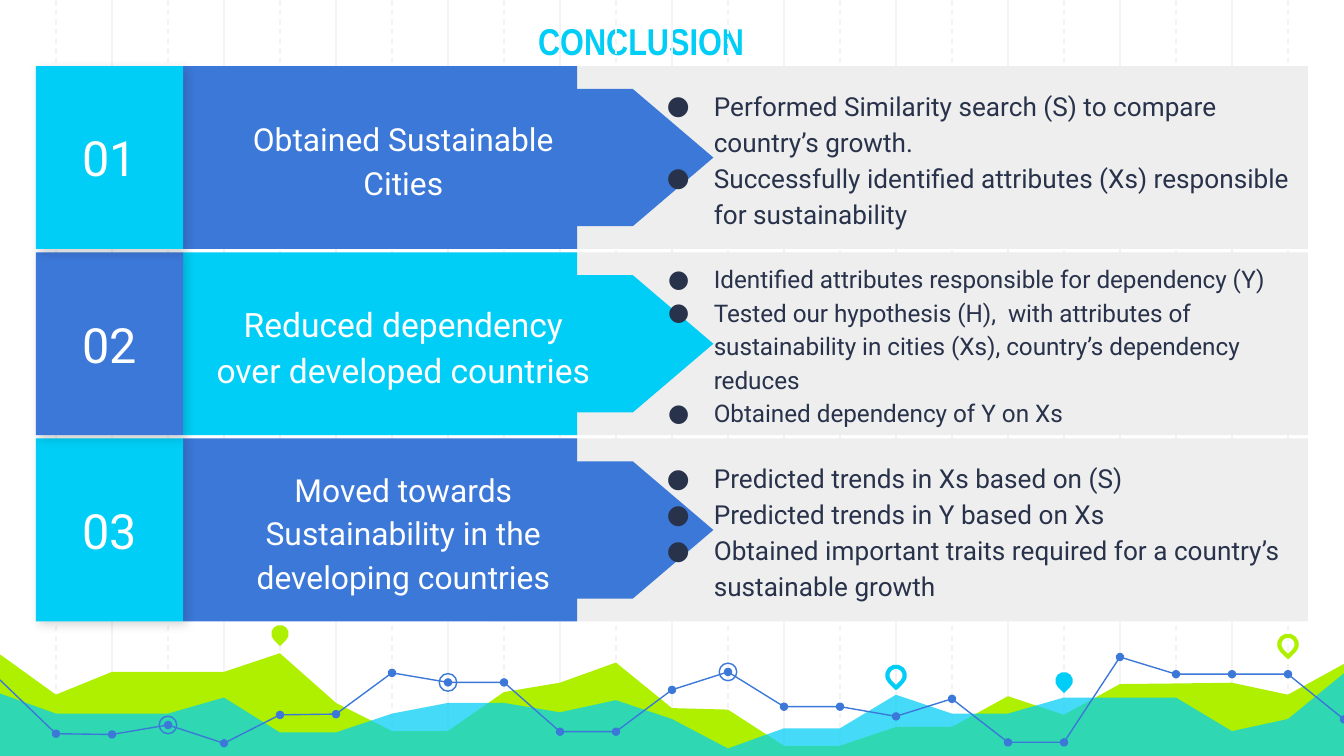
from dataclasses import dataclass

from lxml.etree import SubElement
from pptx import Presentation
from pptx.dml.color import RGBColor
from pptx.enum.dml import MSO_LINE
from pptx.enum.shapes import MSO_CONNECTOR, MSO_SHAPE
from pptx.enum.text import MSO_ANCHOR, MSO_AUTO_SIZE, PP_ALIGN
from pptx.oxml.ns import qn
from pptx.util import Pt


@dataclass(frozen=True)
class Theme:
    """Colours, fonts and type sizes of the slide."""
    white: str = "FFFFFF"
    grid: str = "F3F3F3"
    panel: str = "EEEEEE"
    lime: str = "AFF000"
    cyan: str = "00CEF6"
    blue: str = "3C78D8"
    ink: str = "28324A"
    shade: str = "000000"
    head: str = "Arial Narrow"
    text: str = "Roboto"
    title: int = 20
    num: int = 26


THEME = Theme()
STEP = 30
LIME = [20.6, 42.2, 30, 30, 30, 20, 46.6, 61.7, 61.7, 40.8, 35.8, 25, 49.4,
        50.2, 69.6, 69.6, 59.5, 59.5, 43, 53, 36.5, 36.2, 35.8, 42.2, 25.7]
CYAN = [41.5, 52.3, 52.3, 52.3, 43.7, 62.4, 62.4, 52.3, 46.6, 46.6, 51.6, 45.1, 55.2,
        71, 60.2, 60.2, 42.2, 52.3, 52.3, 43.7, 43.7, 43.7, 61.7, 55.2, 30.7]
TREND = [34.3, 63.1, 63.5, 58.4, 68.2, 53, 52.6, 30.5, 35.6, 35.6, 62, 62, 39.6,
         30, 48.6, 48.6, 53.8, 44.4, 67.7, 67.7, 22, 31.2, 31.2, 31.2, 55.4]
PINS = [(5, 9.5, THEME.lime, True), (16, 31.8, THEME.cyan, False),
        (19, 34.7, THEME.cyan, True), (23, 15.2, THEME.lime, False)]
ROWS = [
    dict(num="01", tint=THEME.cyan, base=THEME.blue, head="Obtained Sustainable Cities",
         big=17, size=14, hang=25.2,
         list=["Performed Similarity search (S) to compare country’s growth.",
               "Successfully identified attributes (Xs) responsible for sustainability"]),
    dict(num="02", tint=THEME.blue, base=THEME.cyan,
         head="Reduced dependency over developed countries", big=18, size=13, hang=24.5,
         list=["Identified attributes responsible for dependency (Y)",
               "Tested our hypothesis (H),  with attributes of sustainability in cities (Xs), "
               "country’s dependency reduces",
               "Obtained dependency of Y on Xs"]),
    dict(num="03", tint=THEME.cyan, base=THEME.blue,
         head="Moved towards Sustainability in the developing countries",
         big=17, size=14, hang=25.2,
         list=["Predicted trends in Xs based on (S)", "Predicted trends in Y based on Xs",
               "Obtained important traits required for a country’s sustainable growth"]),
]


def style(item, **vals):
    """Set each named value on the item."""
    for key, val in vals.items():
        setattr(item, key, val)


def place(item, left, top, width, height):
    """Move and size an item, in points."""
    style(item, left=Pt(left), top=Pt(top), width=Pt(width), height=Pt(height))


def paint(shape, fill=None, line=None, wide=0.75):
    """Give a shape its fill and line, without shadow."""
    shape.shadow.inherit = False
    if fill:
        shape.fill.solid()
        shape.fill.fore_color.rgb = RGBColor.from_string(fill)
    else:
        shape.fill.background()
    if line:
        shape.line.color.rgb = RGBColor.from_string(line)
        shape.line.width = Pt(wide)
    else:
        shape.line.fill.background()


def draw(slide, kind, box, **look):
    """Add a painted preset shape in the box."""
    shape = slide.shapes.add_shape(kind, *map(Pt, box))
    paint(shape, **look)
    return shape


def dot(slide, kind, x, y, size, **look):
    """Add a square-boxed shape around a centre."""
    return draw(slide, kind, (x - size / 2, y - size / 2, size, size), **look)


def write(shape, lines, font, size, tint, bold=False, anchor=MSO_ANCHOR.MIDDLE,
          align=PP_ALIGN.CENTER, space=1.0, hang=None):
    """Fill a shape with paragraphs, bulleted when hang is given."""
    frame = shape.text_frame
    inset = Pt(7.2)
    style(frame, word_wrap=True, auto_size=MSO_AUTO_SIZE.NONE, vertical_anchor=anchor,
          margin_left=inset, margin_right=inset, margin_top=inset, margin_bottom=inset)
    for i, line in enumerate(lines):
        para = frame.add_paragraph() if i else frame.paragraphs[0]
        style(para, alignment=align, line_spacing=space, space_before=Pt(0), space_after=Pt(0))
        if hang:
            prop = para._p.get_or_add_pPr()
            prop.set("marL", str(Pt(36)))
            prop.set("indent", str(-Pt(hang)))
            mark = SubElement(prop, qn("a:buClr"))
            SubElement(mark, qn("a:srgbClr"), val=tint)
            SubElement(prop, qn("a:buFont"), typeface=font)
            SubElement(prop, qn("a:buChar"), char="●")
        run = para.add_run()
        run.text = line
        style(run.font, name=font, size=Pt(size), bold=bold)
        run.font.color.rgb = RGBColor.from_string(tint)


def path_of(slide, left, top, marks, close=False):
    """Build an outline through the marks, spaced by the grid step."""
    pts = [(left + STEP * i, top + y) for i, y in enumerate(marks)]
    if close:
        pts += [(pts[-1][0], top + 75), (left, top + 75)]
    pts = [(Pt(x), Pt(y)) for x, y in pts]
    form = slide.shapes.build_freeform(*pts[0])
    form.add_line_segments(pts[1:], close=close)
    return form.convert_to_shape()


def add_grid(slide, left, top, width, height):
    """Rule the box with solid and dashed upright lines."""
    for i in [*range(2, width // STEP, 2), *range(1, width // STEP, 2)]:
        x = Pt(left + STEP * i)
        rule = slide.shapes.add_connector(MSO_CONNECTOR.STRAIGHT, x, Pt(top), x, Pt(top + height))
        rule.line.color.rgb = RGBColor.from_string(THEME.grid)
        rule.line.width = Pt(0.75)
        if i % 2:
            rule.line.dash_style = MSO_LINE.DASH
        SubElement(rule._element.spPr, qn("a:effectLst"))


def add_waves(slide, left, top):
    """Draw the two hills, the dotted trend and the pins."""
    paint(path_of(slide, left, top, LIME, True), THEME.lime)
    hill = path_of(slide, left, top, CYAN, True)
    paint(hill, THEME.cyan)
    tint = hill._element.spPr.find(qn("a:solidFill")).find(qn("a:srgbClr"))
    SubElement(tint, qn("a:alpha"), val="73000")
    paint(path_of(slide, left, top, TREND), line=THEME.blue)
    for i, y in enumerate(TREND[1:], 1):
        dot(slide, MSO_SHAPE.OVAL, left + STEP * i, top + y, 4.5, fill=THEME.blue)
    for i in (3, 8, 13):
        dot(slide, MSO_SHAPE.OVAL, left + STEP * i, top + TREND[i], 9.4, line=THEME.blue)
    for i, y, tint, full in PINS:
        look = dict(fill=tint) if full else dict(line=tint, wide=2.25)
        pin = dot(slide, MSO_SHAPE.TEAR, left + STEP * i, top + y, 9.4, **look)
        pin.rotation = 135


def add_title(slide, left, top, width, height):
    """Set the heading in the title placeholder."""
    title = slide.shapes.title
    place(title, left, top, width, height)
    write(title, ["CONCLUSION"], THEME.head, THEME.title, THEME.cyan, True, MSO_ANCHOR.BOTTOM)


def add_row(slide, body, row, left, top, width, height):
    """Draw one numbered banner with its arrow and list."""
    draw(slide, MSO_SHAPE.RECTANGLE, (left + 244, top, width - 244, height), fill=THEME.panel)
    draw(slide, MSO_SHAPE.RECTANGLE, (left + 79, top, 211, height), fill=row["base"])
    wide, tall = 73.6, 216
    arrow = draw(slide, MSO_SHAPE.FLOWCHART_OFFPAGE_CONNECTOR,
                 (left + 255 - wide / 2, top + (height - tall) / 2, wide, tall), fill=row["base"])
    arrow.rotation = 270
    label = slide.shapes.add_textbox(Pt(left + 86), Pt(top + 11.5), Pt(221.8), Pt(75.6))
    write(label, [row["head"]], THEME.text, row["big"], THEME.white, space=1.15)
    tile = draw(slide, MSO_SHAPE.RECTANGLE, (left, top, 79, height), fill=row["tint"])
    glow = SubElement(tile._element.spPr.find(qn("a:effectLst")), qn("a:outerShdw"),
                      blurRad=str(Pt(5.6)), dist=str(Pt(2.2)), dir="2700000", algn="bl")
    tint = SubElement(glow, qn("a:srgbClr"), val=THEME.shade)
    SubElement(tint, qn("a:alpha"), val="17000")
    write(tile, [row["num"]], THEME.text, THEME.num, THEME.white)
    slide.shapes._spTree.append(body._element)
    place(body, left + 320, top, 362, height)
    write(body, row["list"], THEME.text, row["size"], THEME.ink,
          align=PP_ALIGN.LEFT, space=1.15, hang=row["hang"])


def main():
    """Build the slide and save it."""
    deck = Presentation()
    style(deck, slide_width=Pt(720), slide_height=Pt(405))
    slide = deck.slides.add_slide(deck.slide_layouts[4])
    slots = list(slide.placeholders)[1:]
    for spare in slots[len(ROWS):]:
        spare._element.getparent().remove(spare._element)
    add_grid(slide, 0, 0, 720, 405)
    add_waves(slide, 0, 330)
    add_title(slide, 279.4, 0, 128.2, 41)
    for i in reversed(range(len(ROWS))):
        add_row(slide, slots[i], ROWS[i], 19.2, 35.4 + 99.75 * i, 681.5, 98)
    deck.save("out.pptx")


if __name__ == "__main__":
    main()
